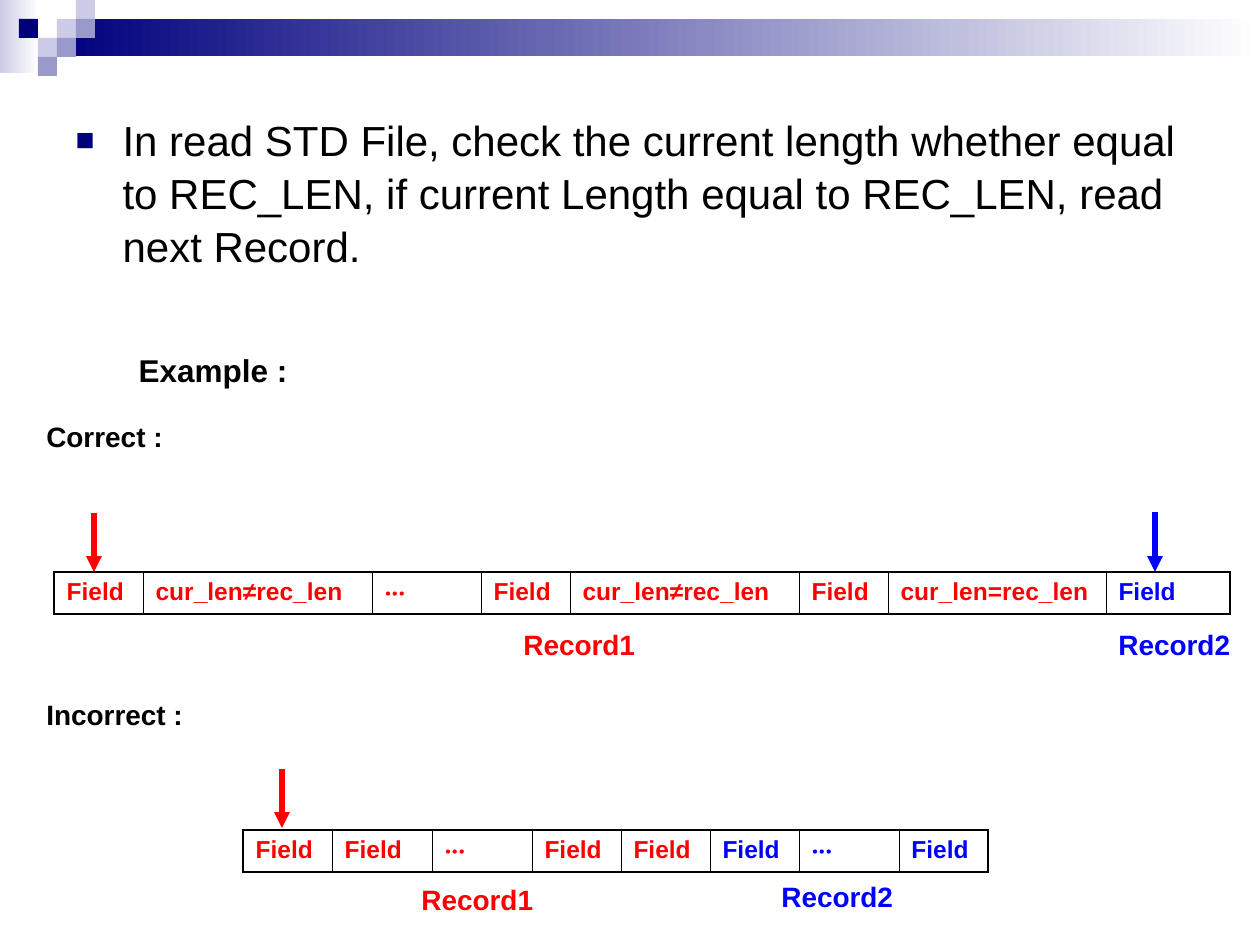
from lxml import etree
from pptx import Presentation
from pptx import util as u
from pptx.dml.color import RGBColor
from pptx.enum import shapes, text
from pptx.oxml import ns

SCALE = 914400 / 126
FONT = "Arial"
BLACK, RED, BLUE, NAVY = "000000", "FF0000", "0000FF", "00007D"
LAVENDER, VIOLET, WHITE = "CCCCE6", "9999CC", "FFFFFF"
SQUARE = 19
SQUARES = [(3, 1, LAVENDER), (4, 0, LAVENDER), (4, 1, VIOLET), (2, 2, LAVENDER),
           (1, 1, NAVY), (3, 2, VIOLET), (2, 3, VIOLET)]
CORRECT_FIELDS = [("Field", 89, RED), ("cur_len≠rec_len", 229, RED), ("‧‧‧", 109, RED),
                  ("Field", 89, RED), ("cur_len≠rec_len", 229, RED), ("Field", 89, RED),
                  ("cur_len=rec_len", 218, RED), ("Field", 124, BLUE)]
INCORRECT_FIELDS = [("Field", 89, RED), ("Field", 100, RED), ("‧‧‧", 100, RED),
                    ("Field", 89, RED), ("Field", 89, RED), ("Field", 89, BLUE),
                    ("‧‧‧", 100, BLUE), ("Field", 89, BLUE)]
LABELS = [("Correct :", 34, 413, 179, BLACK), ("Incorrect :", 34, 691, 179, BLACK),
          ("Record1", 511, 621, 169, RED), ("Record2", 1106, 621, 144, BLUE),
          ("Record1", 409, 876, 169, RED), ("Record2", 769, 873, 144, BLUE)]
ARROWS = [(94, 513, 572, RED), (282, 769, 828, RED), (1155, 512, 572, BLUE)]


def px(*lengths):
    """Turn pixel lengths into a list of EMU lengths."""
    return [u.Emu(round(length * SCALE)) for length in lengths]


def rgb(color):
    """Turn a hex string into a colour."""
    return RGBColor.from_string(color)


def add_xml(parent, tag, **attributes):
    """Append a DrawingML element to a parent."""
    return etree.SubElement(parent, ns.qn(tag), attributes)


def write(paragraph, content, size=16, color=BLACK, bold=True):
    """Add a formatted run to a paragraph."""
    run = paragraph.add_run()
    run.text = content
    run.font.name, run.font.size, run.font.bold = FONT, u.Pt(size), bold
    run.font.color.rgb = rgb(color)


def add_block(slide, left, top, width, height, color, fades=False):
    """Add a borderless rectangle, solid or fading to white on the right."""
    block = slide.shapes.add_shape(shapes.MSO_SHAPE.RECTANGLE, *px(left, top, width, height))
    block.shadow.inherit = False
    block.line.fill.background()
    if fades:
        block.fill.gradient()
        block.fill.gradient_angle = 0
        for stop, stop_color in zip(block.fill.gradient_stops, (color, WHITE)):
            stop.color.rgb = rgb(stop_color)
    else:
        block.fill.solid()
        block.fill.fore_color.rgb = rgb(color)


def add_header(slide):
    """Add the fading bars and the mosaic of squares."""
    add_block(slide, 0, 0, 39, 73, LAVENDER, fades=True)
    add_block(slide, 57, 19, 1203, 37, NAVY, fades=True)
    for column, row, color in SQUARES:
        add_block(slide, column * SQUARE, row * SQUARE, SQUARE, SQUARE, color)


def set_indent(paragraph, margin, first_line):
    """Set the left margin and first-line indent of a paragraph."""
    properties = paragraph._p.get_or_add_pPr()
    for name, length in zip(("marL", "indent"), px(margin, first_line)):
        properties.set(name, str(length))
    return properties


def fill_body(body):
    """Place the body and write its bullet and example heading."""
    body.left, body.top, body.width, body.height = px(63, 106, 1153, 753)
    frame = body.text_frame
    frame.auto_size = text.MSO_AUTO_SIZE.NONE
    rule = frame.paragraphs[0]
    rule.line_spacing, rule.space_before = 1.05, u.Pt(6)
    properties = set_indent(rule, 47, -47)
    add_xml(add_xml(properties, "a:buClr"), "a:srgbClr", val=NAVY)
    add_xml(properties, "a:buSzPct", val="75000")
    add_xml(properties, "a:buFont", typeface=FONT)
    add_xml(properties, "a:buChar", char="■")
    write(rule, "In read STD File, check the current length whether equal to REC_LEN, "
                "if current Length equal to REC_LEN, read next Record.", size=24, bold=False)
    example = frame.add_paragraph()
    example.level, example.space_before = 1, u.Pt(46)
    add_xml(set_indent(example, 102, -39), "a:buNone")
    write(example, "Example :", size=18)


def add_border(cell, side, width):
    """Add a black border to one side of a cell."""
    border = add_xml(cell._tc.get_or_add_tcPr(), "a:ln" + side, w=str(u.Pt(width)))
    add_xml(add_xml(border, "a:solidFill"), "a:srgbClr", val=BLACK)


def add_record(slide, left, top, fields):
    """Add a one-row table of record fields."""
    height, thick, thin = 42, 1.08, 0.45
    width = sum(field[1] for field in fields)
    table = slide.shapes.add_table(1, len(fields), *px(left, top, width, height)).table
    table.first_row = table.horz_banding = False
    last = len(fields) - 1
    for index, (content, column_width, color) in enumerate(fields):
        table.columns[index].width = px(column_width)[0]
        cell = table.cell(0, index)
        add_border(cell, "L", thin if index else thick)
        add_border(cell, "R", thin if index < last else thick)
        add_border(cell, "T", thick)
        add_border(cell, "B", thick)
        cell.fill.background()
        write(cell.text_frame.paragraphs[0], content, size=14, color=color)


def add_label(slide, content, left, top, width, color):
    """Add a bold label in a text box."""
    frame = slide.shapes.add_textbox(*px(left, top, width, 47)).text_frame
    frame.word_wrap = True
    write(frame.paragraphs[0], content, color=color)


def add_arrow(slide, x, top, bottom, color):
    """Add an arrow pointing down."""
    arrow = slide.shapes.add_connector(shapes.MSO_CONNECTOR.STRAIGHT, *px(x, top, x, bottom))
    arrow.line.width = u.Pt(3)
    arrow.line.color.rgb = rgb(color)
    add_xml(arrow.line._get_or_add_ln(), "a:tailEnd", type="triangle")
    add_xml(arrow._element.spPr, "a:effectLst")


def main():
    """Build and save the slide."""
    presentation = Presentation()
    presentation.slide_width, presentation.slide_height = px(1260, 945)
    slide = presentation.slides.add_slide(presentation.slide_layouts[1])
    title = slide.shapes.title._element
    title.getparent().remove(title)
    add_header(slide)
    fill_body(slide.placeholders[1])
    add_record(slide, 54, 572, CORRECT_FIELDS)
    add_record(slide, 243, 830, INCORRECT_FIELDS)
    for label in LABELS:
        add_label(slide, *label)
    for arrow in ARROWS:
        add_arrow(slide, *arrow)
    presentation.save("out.pptx")


if __name__ == "__main__":
    main()
